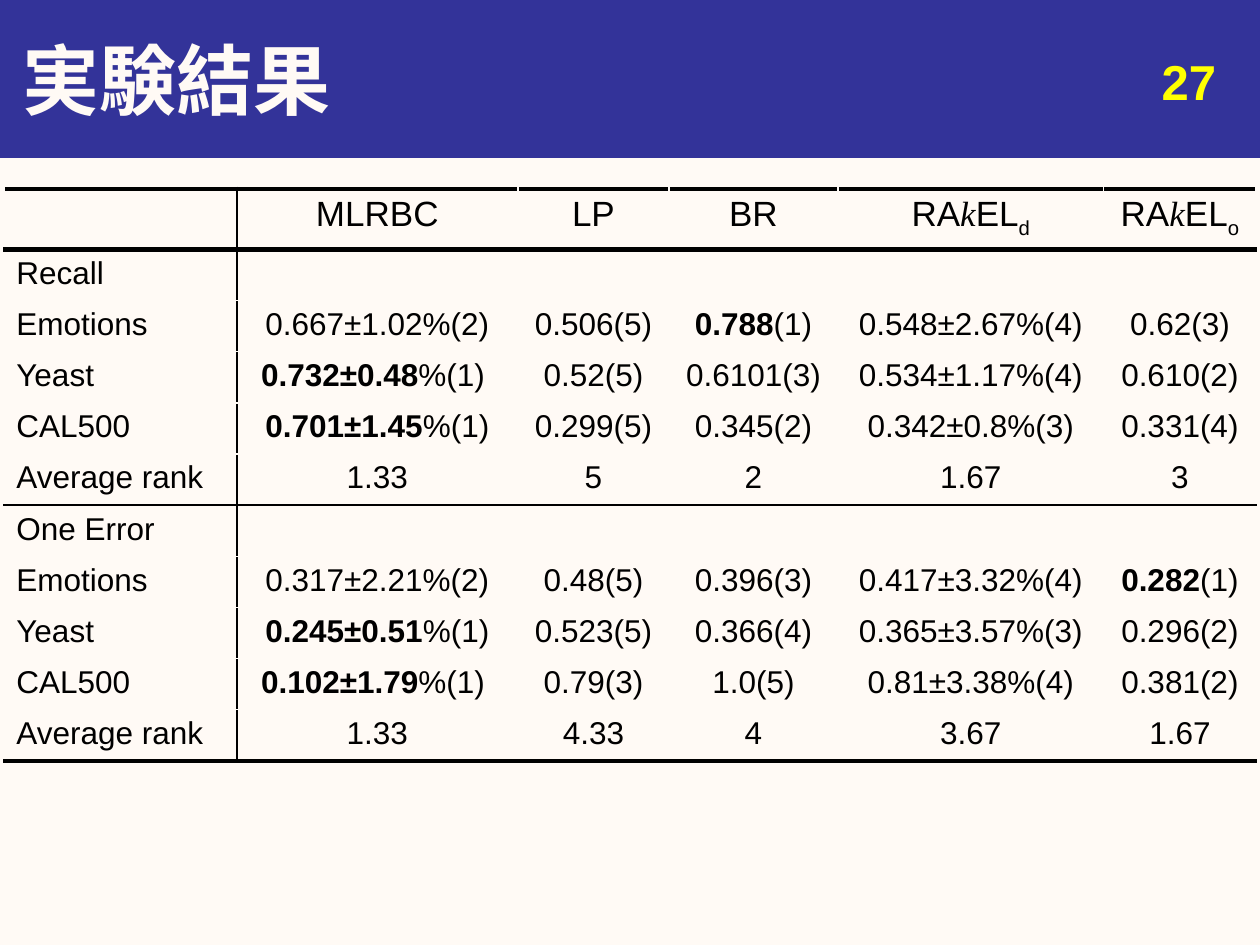
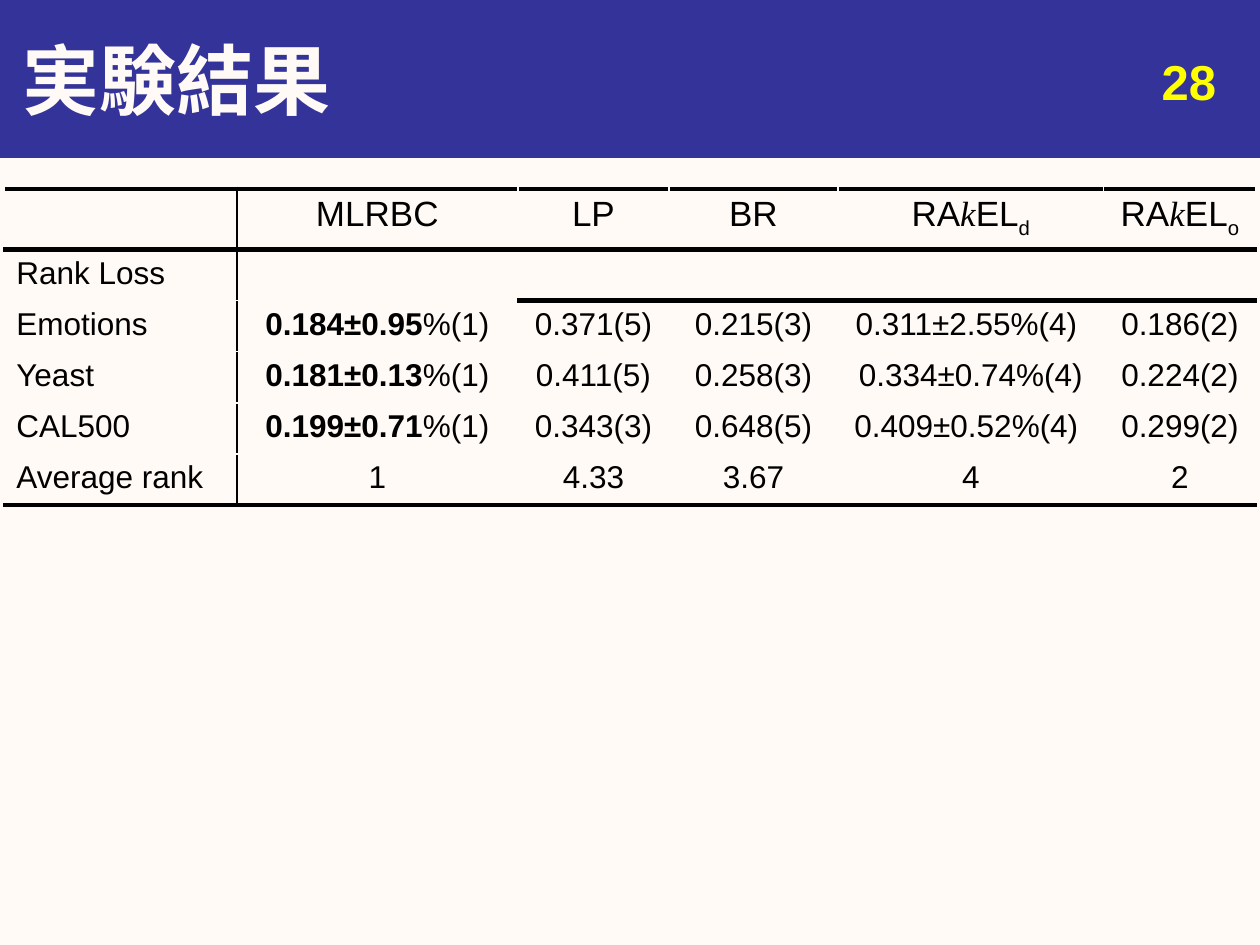
from dataclasses import dataclass

from lxml import etree
from pptx import Presentation
from pptx.dml.color import RGBColor
from pptx.enum.shapes import MSO_SHAPE
from pptx.enum.text import MSO_ANCHOR, PP_ALIGN
from pptx.oxml.ns import qn
from pptx.util import Inches, Pt

RECT = MSO_SHAPE.RECTANGLE
MIDDLE, TOP = MSO_ANCHOR.MIDDLE, MSO_ANCHOR.TOP
LEFT, CENTER, RIGHT = PP_ALIGN.LEFT, PP_ALIGN.CENTER, PP_ALIGN.RIGHT


@dataclass(frozen=True)
class Theme:
    paper: str = "FFFAF5"
    band: str = "333399"
    ink: str = "000000"
    page: str = "FFFF00"
    sans: str = "Arial"
    serif: str = "Times New Roman"
    title: int = 44
    number: int = 28
    head: int = 20
    body: int = 18
    thin: int = 1
    thick: int = 3


THEME = Theme()
WIDTHS = (1.85, 2.23, 1.2, 1.34, 2.11, 1.21)
HEADS = ("", "MLRBC", "LP", "BR", "RA|k|EL|d", "RA|k|EL|o")
SETS = ("Emotions", "Yeast", "CAL500", "Average rank")

RECALL = (
    ("0.667±1.02%(2)", "0.506(5)", "0.788*(1)", "0.548±2.67%(4)", "0.62(3)"),
    ("0.732±0.48*%(1) ", "0.52(5)", "0.6101(3)", "0.534±1.17%(4)", "0.610(2)"),
    ("0.701±1.45*%(1)", "0.299(5)", "0.345(2)", "0.342±0.8%(3)", "0.331(4)"),
    ("1.33", "5", "2", "1.67", "3"),
)
ERROR = (
    ("0.317±2.21%(2)", "0.48(5)", "0.396(3)", "0.417±3.32%(4)", "0.282*(1)"),
    ("0.245±0.51*%(1)", "0.523(5)", "0.366(4)", "0.365±3.57%(3)", "0.296(2)"),
    ("0.102±1.79*%(1) ", "0.79(3)", "1.0(5)", "0.81±3.38%(4)", "0.381(2)"),
    ("1.33", "4.33", "4", "3.67", "1.67"),
)
LOSS = (
    ("0.184±0.95*%(1)", "0.371(5)", "0.215(3)", "0.311±2.55%(4) ", "0.186(2)"),
    ("0.181±0.13*%(1)", "0.411(5)", "0.258(3)", "0.334±0.74%(4)", "0.224(2)"),
    ("0.199±0.71*%(1)", "0.343(3)", "0.648(5)", "0.409±0.52%(4) ", "0.299(2)"),
    ("1", "4.33", "3.67", "4", "2"),
)


class Deck:
    def __init__(self, theme):
        self.theme = theme
        self.prs = Presentation()
        self.prs.slide_width, self.prs.slide_height = Inches(10), Inches(7.5)
        self.slide = None

    def start(self, title, number):
        t = self.theme
        self.slide = self.prs.slides.add_slide(self.prs.slide_layouts[6])
        back = self.slide.background.fill
        back.solid()
        back.fore_color.rgb = RGBColor.from_string(t.paper)
        self.band(0, 0, 10, 1.25)
        self.text((0.08, 0, 9.92, 1.25), title, t.title, t.paper, LEFT, MIDDLE)
        self.text((7.42, 0.36, 2.33, 0.52), str(number), t.number, t.page, RIGHT, TOP)

    def band(self, *box):
        shape = self.slide.shapes.add_shape(RECT, *map(Inches, box))
        shape.shadow.inherit = False
        color = RGBColor.from_string(self.theme.band)
        shape.fill.solid()
        shape.fill.fore_color.rgb = color
        shape.line.color.rgb = color
        shape.line.width = Pt(0.75)

    def run(self, para, text, size, color, bold=False):
        run = para.add_run()
        run.text = text
        font = run.font
        font.name, font.size, font.bold = self.theme.sans, Pt(size), bold
        font.color.rgb = RGBColor.from_string(color)
        return run

    def text(self, box, text, size, color, align, anchor):
        frame = self.slide.shapes.add_textbox(*map(Inches, box)).text_frame
        frame.word_wrap = True
        frame.vertical_anchor = anchor
        para = frame.paragraphs[0]
        para.alignment = align
        self.run(para, text, size, color, True)

    def head(self, para, text):
        t = self.theme
        for spot, part in enumerate(text.split("|")):
            run = self.run(para, part, t.head, t.ink)
            if spot == 1:
                run.font.name, run.font.italic = t.serif, True
            elif spot == 3:
                run.font._element.set("baseline", "-25000")

    def value(self, para, text):
        t = self.theme
        best, star, rest = text.rpartition("*")
        if star:
            self.run(para, best, t.body, t.ink, True)
        self.run(para, rest, t.body, t.ink)

    def border(self, cell, side, width):
        t = self.theme
        props = cell._tc.get_or_add_tcPr()
        line = etree.SubElement(props, qn(f"a:ln{side}"), w=str(Pt(width or t.thin)))
        fill = etree.SubElement(line, qn("a:solidFill"))
        etree.SubElement(fill, qn("a:srgbClr"), val=t.ink if width else t.paper)

    def table(self, parts, extra=None):
        t = self.theme
        rows = [HEADS]
        rules = {0: t.thick, 1: t.thick}
        for name, data in parts:
            rows.append((name,) + ("",) * 5)
            rows += [(label,) + vals for label, vals in zip(SETS, data)]
            rules[len(rows)] = t.thin
        rules[len(rows)] = t.thick

        def rule(row, col):
            if row == extra and col > 1:
                return t.thick
            return rules.get(row)

        high = Inches(4.06) // 10
        frame = self.slide.shapes.add_table(
            len(rows), len(WIDTHS), Inches(0.03), Inches(1.5),
            Inches(sum(WIDTHS)), high * len(rows))
        grid = frame.table
        grid.first_row = grid.horz_banding = False
        for col, wide in zip(grid.columns, WIDTHS):
            col.width = Inches(wide)
        for r, row in enumerate(rows):
            grid.rows[r].height = high if r else Inches(0.45)
            for c, text in enumerate(row):
                cell = grid.cell(r, c)
                para = cell.text_frame.paragraphs[0]
                para.alignment = CENTER if c else LEFT
                if text:
                    (self.value if r else self.head)(para, text)
                else:
                    para.font.size = Pt(t.body)
                self.border(cell, "L", t.thin if c == 1 else None)
                self.border(cell, "R", t.thin if c == 0 else None)
                self.border(cell, "T", rule(r, c))
                self.border(cell, "B", rule(r + 1, c))
                cell.fill.background()


def main():
    deck = Deck(THEME)
    deck.start("実験結果", 27)
    deck.table([("Recall", RECALL), ("One Error", ERROR)])
    deck.start("実験結果", 28)
    deck.table([("Rank Loss", LOSS)], extra=2)
    deck.prs.save("out.pptx")


if __name__ == "__main__":
    main()
